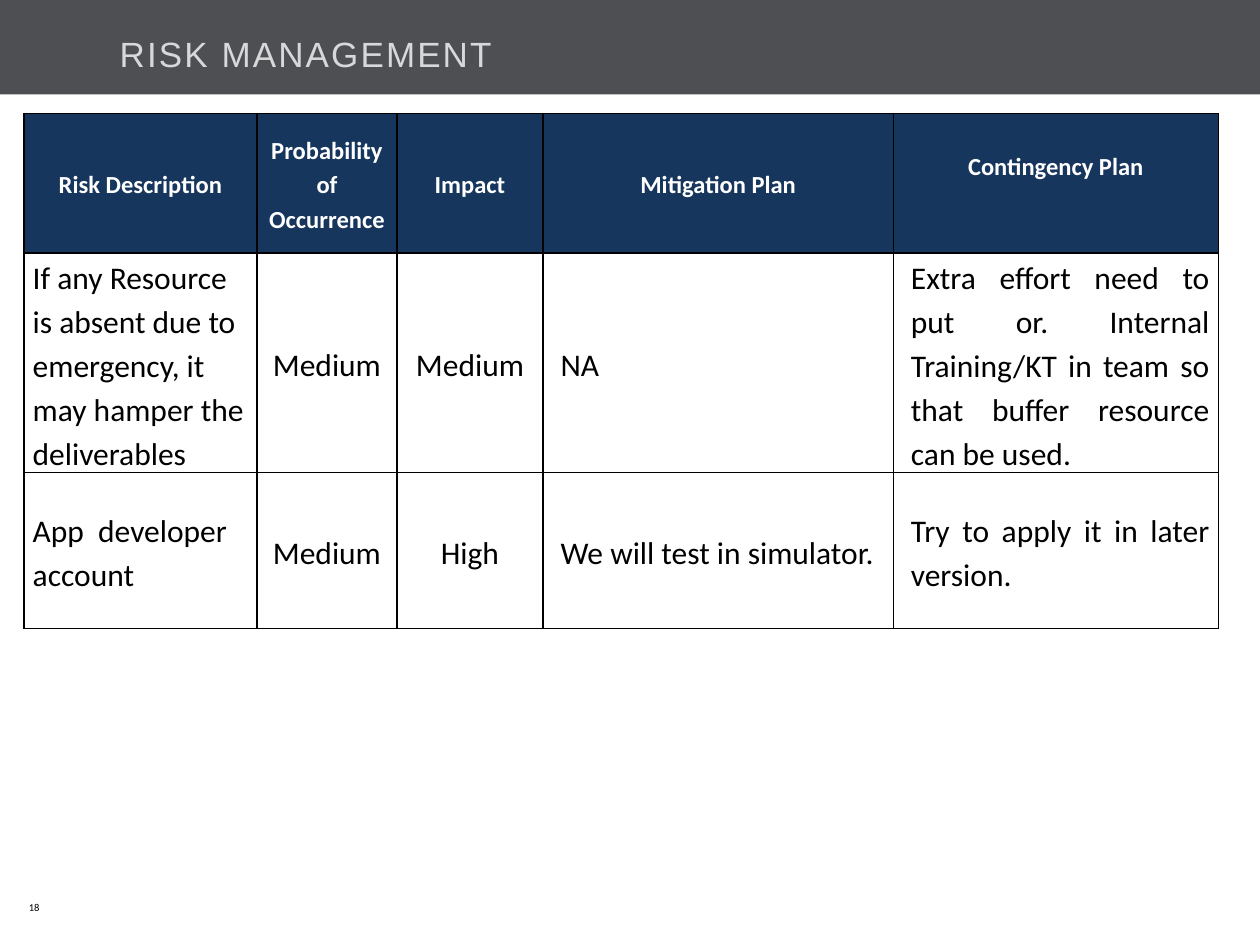
from lxml import etree
from pptx import Presentation
from pptx.dml.color import RGBColor
from pptx.enum.shapes import MSO_SHAPE
from pptx.enum.text import MSO_ANCHOR, PP_ALIGN
from pptx.oxml.ns import qn
from pptx.util import Inches, Pt

LEFT, CENTER, JUSTIFY = PP_ALIGN.LEFT, PP_ALIGN.CENTER, PP_ALIGN.JUSTIFY
TOP, MIDDLE, BOTTOM = MSO_ANCHOR.TOP, MSO_ANCHOR.MIDDLE, MSO_ANCHOR.BOTTOM

TITLE = "RISK MANAGEMENT"
PAGE_NUMBER = "18"
# heading, width, body alignment, body indent
COLUMNS = [
    ("Risk Description", 1.85, LEFT, 0),
    ("Probability of Occurrence", 1.11, CENTER, 0),
    ("Impact", 1.16, CENTER, 0),
    ("Mitigation Plan", 2.78, JUSTIFY, 0.07),
    ("Contingency Plan", 2.58, JUSTIFY, 0.07),
]
RISKS = [
    ("If any Resource is absent due to emergency, it may hamper the deliverables",
     "Medium", "Medium", "NA",
     "Extra effort need to put or. Internal Training/KT in team so that "
     "buffer resource can be used. "),
    ("App  developer  account", "Medium", "High", "We will test in simulator.",
     "Try to apply it in later version."),
]
ROW_HEIGHTS = [1.11, 1.74, 1.24]
NAVY, GREY, PALE, WHITE, BLACK = "17365D", "4D4F53", "D7D8D9", "FFFFFF", "000000"


def color(hex_value):
    return RGBColor.from_string(hex_value)


def add_run(paragraph, text, size, hex_value, font="Calibri", bold=False):
    run = paragraph.add_run()
    run.text = text
    run.font.name, run.font.size, run.font.bold = font, Pt(size), bold
    run.font.color.rgb = color(hex_value)
    return run


def set_frame(frame, anchor, side=0, edge=0):
    frame.word_wrap = True
    frame.vertical_anchor = anchor
    frame.margin_left = frame.margin_right = Inches(side)
    frame.margin_top = frame.margin_bottom = Inches(edge)


def add_borders(cell):
    properties = cell._tc.get_or_add_tcPr()
    for side in ("a:lnL", "a:lnR", "a:lnT", "a:lnB"):
        line = etree.SubElement(properties, qn(side), w=str(Pt(1)))
        fill = etree.SubElement(line, qn("a:solidFill"))
        etree.SubElement(fill, qn("a:srgbClr"), val=BLACK)


def format_cell(cell, align):
    """Apply what all cells share and return the cell's paragraph."""
    add_borders(cell)
    cell.vertical_anchor = MIDDLE
    cell.margin_left = cell.margin_right = Inches(0.07)
    cell.margin_top = cell.margin_bottom = 0
    paragraph = cell.text_frame.paragraphs[0]
    paragraph.alignment = align
    paragraph.line_spacing = 1.15
    return paragraph


def add_risk_table(slide):
    table = slide.shapes.add_table(
        len(ROW_HEIGHTS), len(COLUMNS), Inches(0.19), Inches(0.9),
        Inches(sum(column[1] for column in COLUMNS)), Inches(sum(ROW_HEIGHTS))).table
    for row, height in zip(table.rows, ROW_HEIGHTS):
        row.height = Inches(height)
    for c, (heading, width, align, indent) in enumerate(COLUMNS):
        table.columns[c].width = Inches(width)
        header = table.cell(0, c)
        add_run(format_cell(header, CENTER), heading, 14, WHITE, bold=True)
        header.fill.solid()
        header.fill.fore_color.rgb = color(NAVY)
        for r, risk in enumerate(RISKS, start=1):
            cell = table.cell(r, c)
            paragraph = format_cell(cell, align)
            paragraph.space_after = Pt(6)
            paragraph._p.get_or_add_pPr().set("marL", str(Inches(indent)))
            add_run(paragraph, risk[c], 18, BLACK)
            cell.fill.background()
    # The last heading sits one line below the top of its cell
    last_header = table.cell(0, len(COLUMNS) - 1)
    last_header.vertical_anchor = TOP
    last_header.margin_top = Inches(0.27)


def main():
    deck = Presentation()
    deck.slide_width, deck.slide_height = Inches(10), Inches(7.5)
    slide = deck.slides.add_slide(deck.slide_layouts[5])

    band = slide.shapes.add_shape(MSO_SHAPE.RECTANGLE, 0, 0, deck.slide_width, Inches(0.75))
    band.shadow.inherit = False
    band.fill.solid()
    band.fill.fore_color.rgb = color(GREY)
    band.line.fill.background()

    title = slide.shapes.title
    band._element.addnext(title._element)  # bring the title in front of the band
    title.left, title.top = Inches(0.95), Inches(0.09)
    title.width, title.height = Inches(8.55), Inches(0.5)
    set_frame(title.text_frame, BOTTOM)
    heading = title.text_frame.paragraphs[0]
    heading.alignment = LEFT
    run = add_run(heading, TITLE, 20, PALE, font="Arial")
    run.font._element.set("spc", "120")

    page = slide.shapes.add_textbox(Inches(0.11), Inches(7), Inches(0.66), Inches(0.4))
    set_frame(page.text_frame, MIDDLE, side=0.12, edge=0.06)
    add_run(page.text_frame.paragraphs[0], PAGE_NUMBER, 6, BLACK)

    add_risk_table(slide)
    deck.save("out.pptx")


if __name__ == "__main__":
    main()
